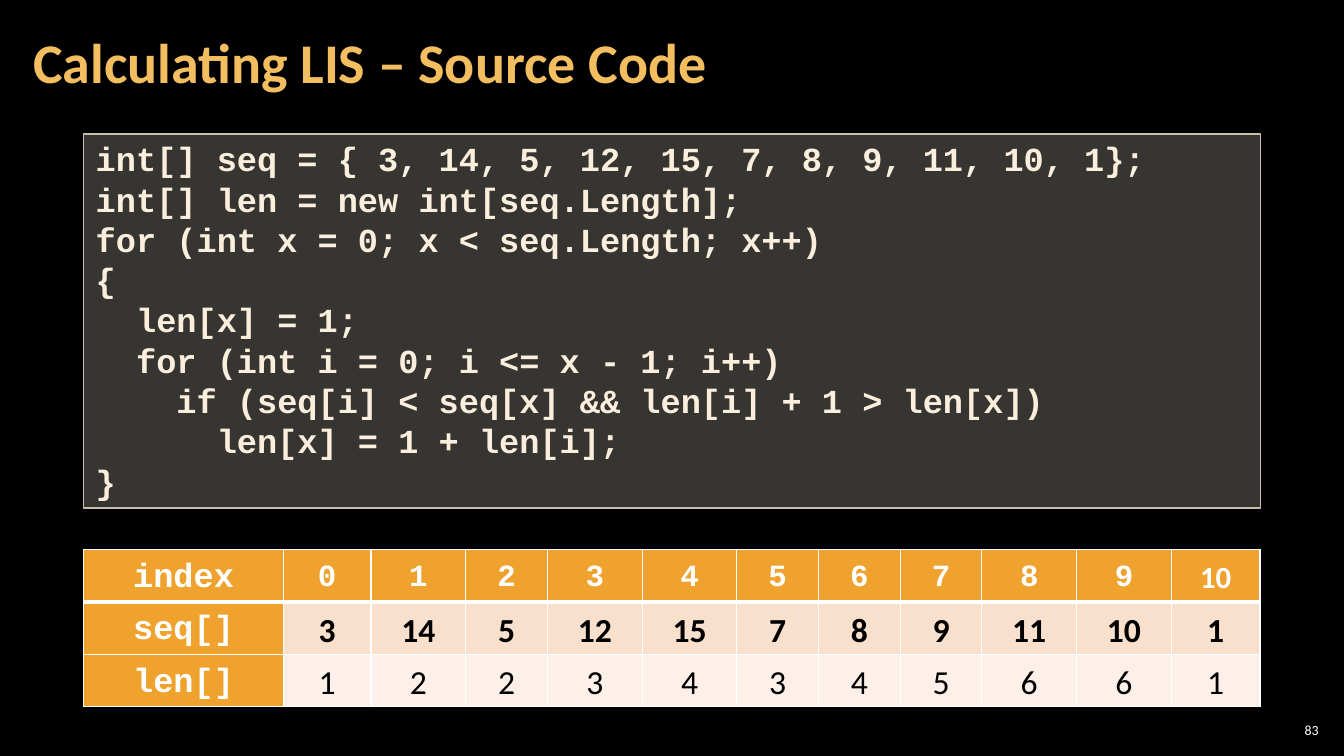
import pptx
import pptx.dml.color
import pptx.enum.shapes
import pptx.enum.text
import pptx.oxml
import pptx.oxml.ns
import pptx.util
from pptx.util import Inches

RGBColor = pptx.dml.color.RGBColor
BLACK = RGBColor(0x00, 0x00, 0x00)
WHITE = RGBColor(0xFF, 0xFF, 0xFF)
GOLD = RGBColor(0xF3, 0xBE, 0x60)
CREAM = RGBColor(0xFB, 0xEE, 0xDC)
PANEL = RGBColor(0xD9, 0xD5, 0xC7)
PANEL_LINE = RGBColor(0xC7, 0xBF, 0xAC)
ORANGE = RGBColor(0xF0, 0xA2, 0x2E)
PEACH = RGBColor(0xF9, 0xE0, 0xCD)
PALE_PEACH = RGBColor(0xFC, 0xF0, 0xE8)

ALIGN = pptx.enum.text.PP_ALIGN
MIDDLE = pptx.enum.text.MSO_ANCHOR.MIDDLE
NAMESPACE = pptx.oxml.ns.nsdecls("a")


def add_span(para, text, size, font, color, bold=False):
    span = para.add_run()
    span.text = text
    span.font.size = pptx.util.Pt(size)
    span.font.name = font
    span.font.color.rgb = color
    span.font.bold = bold


def set_frame(frame, side, anchor):
    frame.word_wrap = True
    frame.margin_left = frame.margin_right = Inches(side)
    frame.margin_top = frame.margin_bottom = Inches(0.04)
    frame.vertical_anchor = anchor


deck = pptx.Presentation()
deck.slide_width = Inches(13.33)
deck.slide_height = Inches(7.5)
page = deck.slides.add_slide(deck.slide_layouts[6])
page.background.fill.solid()
page.background.fill.fore_color.rgb = BLACK

# Slide number
number_box = page.shapes.add_textbox(Inches(12.65), Inches(7.14), Inches(0.47), Inches(0.21))
set_frame(number_box.text_frame, 0.04, MIDDLE)
para = number_box.text_frame.paragraphs[0]
para.alignment = ALIGN.RIGHT
add_span(para, "83", 10, "Calibri", WHITE)

# Title
title_box = page.shapes.add_textbox(Inches(0.21), Inches(0.04), Inches(10.47), Inches(1.21))
set_frame(title_box.text_frame, 0.12, MIDDLE)
para = title_box.text_frame.paragraphs[0]
para.line_spacing = 0.9
add_span(para, "Calculating LIS – Source Code", 40, "Calibri", GOLD, True)

# Code panel
code_lines = """int[] seq = { 3, 14, 5, 12, 15, 7, 8, 9, 11, 10, 1};
int[] len = new int[seq.Length];
for (int x = 0; x < seq.Length; x++)
{
  len[x] = 1;
  for (int i = 0; i <= x - 1; i++)
    if (seq[i] < seq[x] && len[i] + 1 > len[x])
      len[x] = 1 + len[i];
}""".split("\n")
code_box = page.shapes.add_shape(
    pptx.enum.shapes.MSO_SHAPE.RECTANGLE,
    Inches(0.83), Inches(1.33), Inches(11.67), Inches(3.71))
code_box.shadow.inherit = False
code_box.fill.solid()
code_box.fill.fore_color.rgb = PANEL
panel_color = code_box.fill._xPr.find(".//" + pptx.oxml.ns.qn("a:srgbClr"))
panel_color.append(pptx.oxml.parse_xml(f'<a:alpha {NAMESPACE} val="25000"/>'))
code_box.line.color.rgb = PANEL_LINE
code_box.line.width = pptx.util.Pt(1)
set_frame(code_box.text_frame, 0.12, pptx.enum.text.MSO_ANCHOR.TOP)
for line_number, code_line in enumerate(code_lines):
    frame = code_box.text_frame
    para = frame.add_paragraph() if line_number else frame.paragraphs[0]
    para.alignment = ALIGN.LEFT
    add_span(para, code_line, 24, "Courier New", CREAM, True)

# Table of indices, sequence and lengths
table_rows = [
    ["index", *range(11)],
    ["seq[]", 3, 14, 5, 12, 15, 7, 8, 9, 11, 10, 1],
    ["len[]", 1, 2, 2, 3, 4, 3, 4, 5, 6, 6, 1],
]
row_fills = [ORANGE, PEACH, PALE_PEACH]
column_widths = [1.98, 0.87, 0.94, 0.81, 0.94, 0.94, 0.81, 0.81, 0.81, 0.94, 0.94, 0.88]
table = page.shapes.add_table(
    len(table_rows), len(column_widths),
    Inches(0.83), Inches(5.45), Inches(11.67), Inches(1.55)).table
for column, width in zip(table.columns, column_widths):
    column.width = Inches(width)

for row, values in enumerate(table_rows):
    table.rows[row].height = Inches(0.52)
    for col, value in enumerate(values):
        cell = table.cell(row, col)
        cell.margin_left = cell.margin_right = Inches(0.07)
        cell.margin_top = cell.margin_bottom = 0
        cell.vertical_anchor = MIDDLE

        # White borders, thicker under the header row
        for side in ("L", "R", "T", "B"):
            under_header = (row, side) in ((0, "B"), (1, "T"))
            width = pptx.util.Pt(3 if under_header else 1)
            cell._tc.get_or_add_tcPr().append(pptx.oxml.parse_xml(
                f'<a:ln{side} {NAMESPACE} w="{width}"><a:solidFill>'
                f'<a:srgbClr val="{WHITE}"/></a:solidFill></a:ln{side}>'))

        is_heading = row == 0 or col == 0
        cell.fill.solid()
        cell.fill.fore_color.rgb = ORANGE if is_heading else row_fills[row]
        para = cell.text_frame.paragraphs[0]
        para.alignment = ALIGN.CENTER
        para.line_spacing = 1.15
        add_span(
            para, str(value),
            22 if row == 0 and col > 0 else 24,
            "Courier New" if is_heading and value != 10 else "Calibri",
            WHITE if is_heading else BLACK,
            is_heading or row == 1)

deck.save("out.pptx")
